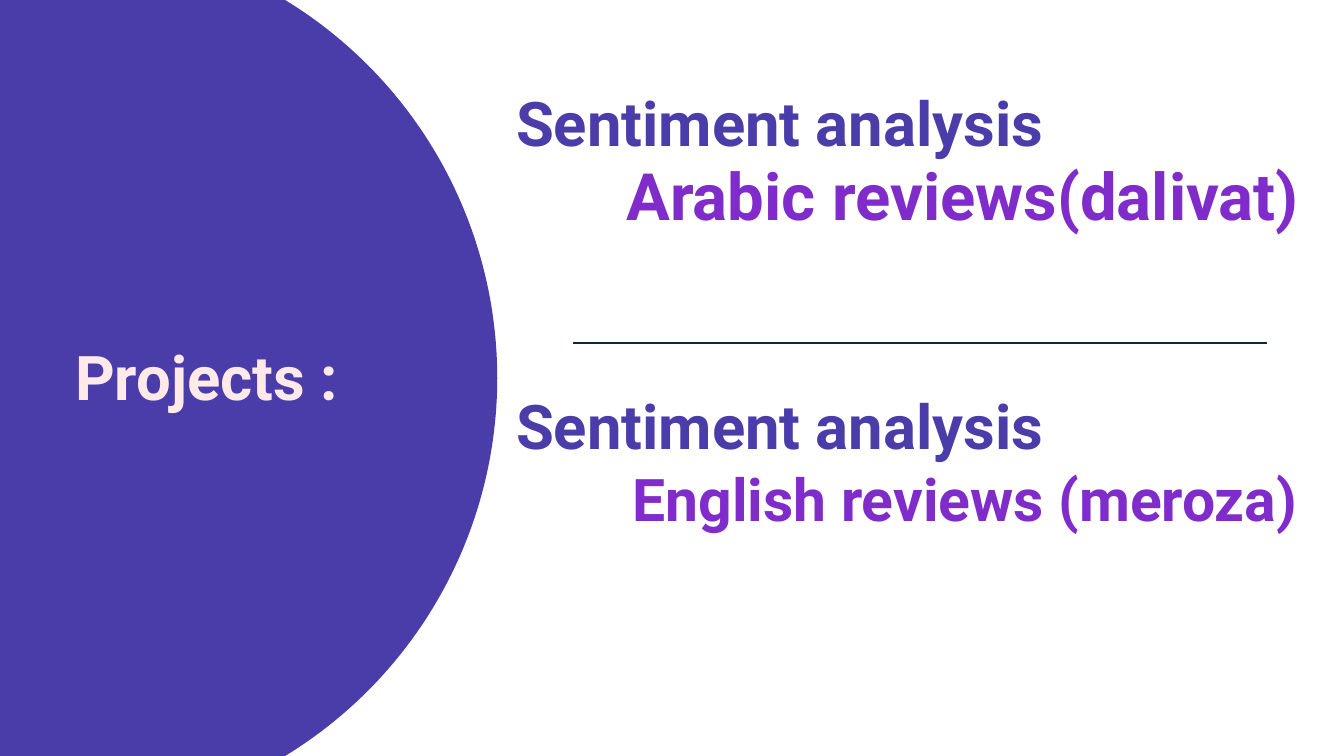
import math

from lxml import etree
from pptx import Presentation
from pptx.dml.color import RGBColor
from pptx.enum import shapes, text
from pptx.oxml.ns import qn
from pptx.util import Inches, Pt

COLORS = {"indigo": "4A3DAA", "violet": "802CCA", "blush": "FFE9E9", "navy": "0E2841"}
FONT = "Roboto"
WIDTH, HEIGHT = 20, 11.25

LEFT, CENTER = text.PP_ALIGN.LEFT, text.PP_ALIGN.CENTER
# wording, (left, top, width, height), size, line spacing, colour, alignment
TEXTS = [
    ("Projects :", (1.12, 5.15, 4.64, 1.06), 66, 71.3, "blush", LEFT),
    ("Sentiment analysis", (7.68, 1.38, 11.79, 2.05), 66, 71.3, "indigo", LEFT),
    ("Sentiment analysis", (7.68, 5.88, 9.98, 1.06), 66, 71.3, "indigo", LEFT),
    ("Arabic reviews(dalivat)", (9.01, 2.43, 10.64, 1.11), 69.9, 75.5, "violet", CENTER),
    ("English reviews (meroza)", (9.01, 6.99, 10.7, 0.99), 63, 68, "violet", CENTER),
]
DIVIDER = (8.53, 18.86, 5.1)  # left, right, y
DISC_RIGHT, DISC_RADIUS = 7.4, 6.59
ARC_STEPS = 120


def color(name):
    return RGBColor.from_string(COLORS[name])


def add_disc(slide):
    """Draw the part of a large circle that lies on the slide."""
    center_x, center_y = DISC_RIGHT - DISC_RADIUS, HEIGHT / 2
    limit = math.asin(center_y / DISC_RADIUS)
    angles = [limit * (2 * step / ARC_STEPS - 1) for step in range(ARC_STEPS + 1)]
    arc = [(Inches(center_x + DISC_RADIUS * math.cos(angle)),
            Inches(center_y + DISC_RADIUS * math.sin(angle))) for angle in angles]
    builder = slide.shapes.build_freeform(0, 0)
    builder.add_line_segments(arc + [(0, Inches(HEIGHT))], close=True)
    shape = builder.convert_to_shape()
    shape.shadow.inherit = False
    shape.fill.solid()
    shape.fill.fore_color.rgb = color("indigo")
    shape.line.fill.background()


def add_divider(slide):
    left, right, y = map(Inches, DIVIDER)
    connector = slide.shapes.add_connector(shapes.MSO_CONNECTOR.STRAIGHT, left, y, right, y)
    connector.line.color.rgb = color("navy")
    connector.line.width = Pt(2)
    etree.SubElement(connector._element.spPr, qn("a:effectLst"))


def add_text(slide, wording, box, size, spacing, color_name, alignment):
    frame = slide.shapes.add_textbox(*map(Inches, box)).text_frame
    frame.word_wrap = True
    frame.margin_left = frame.margin_top = frame.margin_right = frame.margin_bottom = 0
    frame.text = wording
    paragraph = frame.paragraphs[0]
    paragraph.alignment = alignment
    paragraph.line_spacing = Pt(spacing)
    font = paragraph.runs[0].font
    font.name, font.size, font.bold = FONT, Pt(size), True
    font.color.rgb = color(color_name)


def main():
    presentation = Presentation()
    presentation.slide_width, presentation.slide_height = Inches(WIDTH), Inches(HEIGHT)
    slide = presentation.slides.add_slide(presentation.slide_layouts[6])
    add_disc(slide)
    add_divider(slide)
    for entry in TEXTS:
        add_text(slide, *entry)
    presentation.save("out.pptx")


if __name__ == "__main__":
    main()
